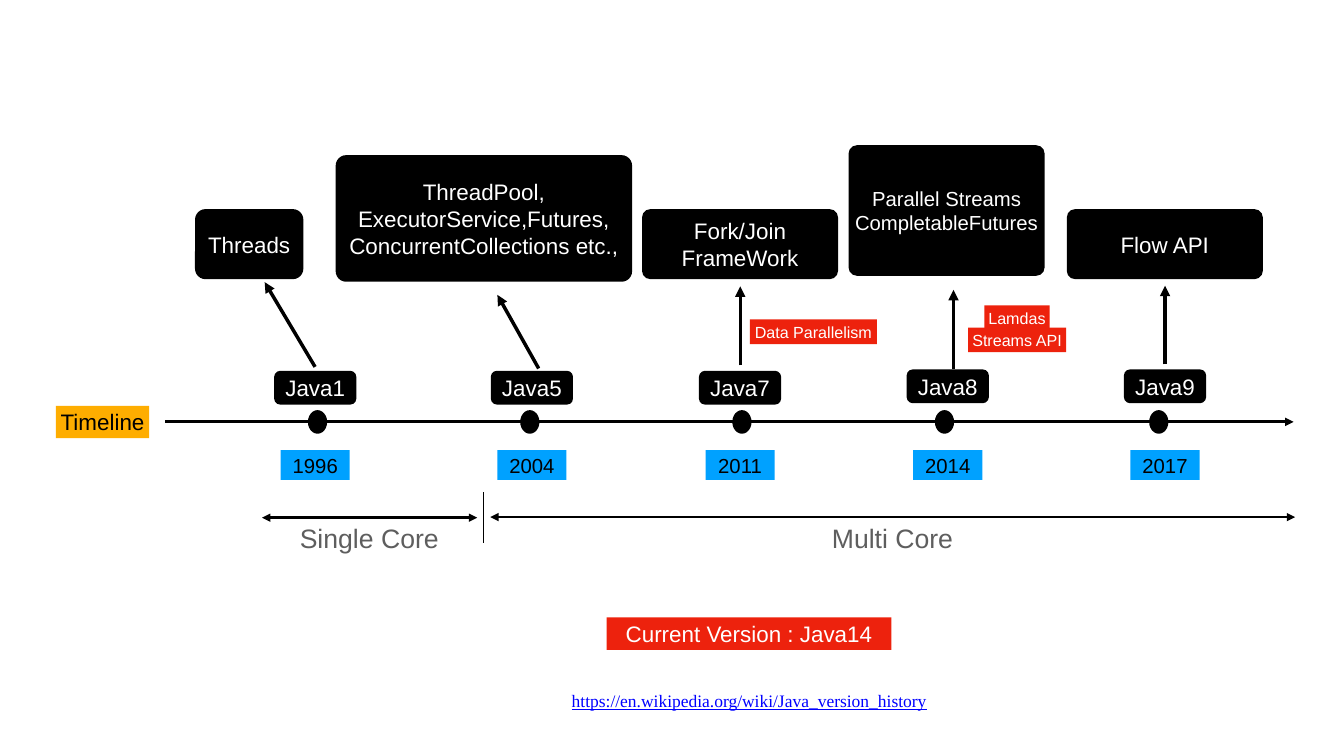
from dataclasses import dataclass

from lxml import etree
from pptx import Presentation
from pptx.dml.color import RGBColor
from pptx.enum import shapes, text
from pptx.oxml.ns import qn
from pptx.util import Cm, Pt


@dataclass(frozen=True)
class Theme:
    black: str = "000000"
    white: str = "FFFFFF"
    grey: str = "5E5E5E"
    amber: str = "FEAD00"
    blue: str = "00A1FF"
    red: str = "ED220D"
    link: str = "0000FF"
    sans: str = "Arial"
    serif: str = "Times New Roman"
    large: int = 38
    body: int = 32
    small: int = 29
    url: int = 25
    note: int = 23


THEME = Theme()
KIND = shapes.MSO_SHAPE
AXIS = 21.26

# Centre of label, centre of dot, top of label, name, year
RELEASES = [
    (15.89, 16.0, 18.69, "Java1", "1996"),
    (26.81, 26.7, 18.69, "Java5", "2004"),
    (37.3, 37.39, 18.69, "Java7", "2011"),
    (47.77, 47.6, 18.62, "Java8", "2014"),
    (58.72, 58.4, 18.62, "Java9", "2017"),
]

# Box, corner radius, text size, lines
FEATURES = [
    ((9.83, 10.54, 5.46, 3.53), 0.53, THEME.body, ["Threads"]),
    ((16.92, 7.82, 14.94, 6.38), 0.53, THEME.body,
     ["ThreadPool,", "ExecutorService,Futures,", "ConcurrentCollections etc.,"]),
    ((32.36, 10.54, 9.88, 3.53), 0.42, THEME.body, ["Fork/Join FrameWork"]),
    ((42.77, 7.32, 9.88, 6.58), 0.42, THEME.small,
     ["Parallel Streams", "CompletableFutures"]),
    ((53.77, 10.54, 9.88, 3.53), 0.42, THEME.body, ["Flow API"]),
]

# From release label up to its feature
ARROWS = [
    ((15.88, 18.49), (13.34, 14.22)),
    ((27.15, 18.57), (25.07, 14.86)),
    ((37.31, 18.42), (37.31, 14.43)),
    ((48.06, 18.59), (48.06, 14.61)),
    ((58.72, 18.36), (58.72, 14.4)),
]

NOTES = [
    ((37.8, 16.1, 6.4, 1.24), "Data Parallelism"),
    ((49.61, 15.39, 3.3, 1.24), "Lamdas"),
    ((48.79, 16.51, 4.95, 1.24), "Streams API"),
]

# Arrow start, arrow end, height, label left, label
ERAS = [
    (13.21, 24.05, 26.09, 14.07, "Single Core"),
    (24.71, 65.28, 26.06, 40.44, "Multi Core"),
]


def write(shape, lines, size, color, font=THEME.sans, wrap=True):
    frame = shape.text_frame
    frame.word_wrap = wrap
    frame.vertical_anchor = text.MSO_ANCHOR.MIDDLE
    frame.margin_left = frame.margin_right = Cm(0.15)
    frame.margin_top = frame.margin_bottom = Cm(0.15)
    frame.text = "\n".join(lines)
    for para in frame.paragraphs:
        para.alignment = text.PP_ALIGN.CENTER
        para.font.name = font
        para.font.size = Pt(size)
        para.font.color.rgb = RGBColor.from_string(color)


def add_block(slide, kind, box, fill):
    shape = slide.shapes.add_shape(kind, *map(Cm, box))
    shape.shadow.inherit = False
    shape.fill.solid()
    shape.fill.fore_color.rgb = RGBColor.from_string(fill)
    shape.line.fill.background()
    return shape


def add_tag(slide, box, label, fill, color, size, wrap=True):
    shape = add_block(slide, KIND.RECTANGLE, box, fill)
    write(shape, [label], size, color, wrap=wrap)


def add_card(slide, box, radius, lines, size):
    shape = add_block(slide, KIND.ROUNDED_RECTANGLE, box, THEME.black)
    shape.adjustments[0] = radius / min(box[2:])
    write(shape, lines, size, THEME.white)


def add_label(slide, box, label, size, color, font=THEME.sans):
    shape = slide.shapes.add_textbox(*map(Cm, box))
    write(shape, [label], size, color, font)
    return shape.text_frame.paragraphs[0]


def add_line(slide, start, end, width, ends=()):
    """Draw a line; ends names the arrowheads, headEnd before tailEnd."""
    line = slide.shapes.add_connector(
        shapes.MSO_CONNECTOR.STRAIGHT, *map(Cm, start + end))
    line.line.color.rgb = RGBColor.from_string(THEME.black)
    line.line.width = Pt(width)
    for tip in ends:
        etree.SubElement(line.line._ln, qn(f"a:{tip}"), type="triangle")
    etree.SubElement(line._element.spPr, qn("a:effectLst"))


def add_release(slide, mid, dot, top, name, year):
    add_block(slide, KIND.OVAL, (dot - 0.48, AXIS - 0.59, 0.97, 1.19), THEME.black)
    add_card(slide, (mid - 2.07, top, 4.14, 1.7), 0.3, [name], THEME.body)
    add_tag(slide, (mid - 1.74, 22.68, 3.48, 1.5), year,
            THEME.blue, THEME.black, THEME.small)


def main():
    deck = Presentation()
    deck.slide_width, deck.slide_height = Cm(67.74), Cm(38.1)
    slide = deck.slides.add_slide(deck.slide_layouts.get_by_name("Blank"))

    add_line(slide, (8.33, AXIS), (65.2, AXIS), 4, ["tailEnd"])
    add_tag(slide, (2.82, 20.45, 4.7, 1.63), "Timeline",
            THEME.amber, THEME.black, THEME.body, wrap=False)
    for release in RELEASES:
        add_release(slide, *release)
    for box, radius, size, lines in FEATURES:
        add_card(slide, box, radius, lines, size)
    for start, end in ARROWS:
        add_line(slide, start, end, 5, ["tailEnd"])
    for box, label in NOTES:
        add_tag(slide, box, label, THEME.red, THEME.white, THEME.note, wrap=False)

    for start, end, top, left, label in ERAS:
        add_line(slide, (start, top), (end, top), 4, ["headEnd", "tailEnd"])
        add_label(slide, (left, 26.21, 9.09, 1.83), label, THEME.large, THEME.grey)
    add_line(slide, (24.38, 27.36), (24.38, 24.79), 2)

    add_tag(slide, (30.58, 31.12, 14.35, 1.63), "Current Version : Java14",
            THEME.red, THEME.white, THEME.body)
    source = add_label(slide, (26.14, 34.37, 23.24, 1.35),
                       "https://en.wikipedia.org/wiki/Java_version_history",
                       THEME.url, THEME.link, THEME.serif)
    source.font.underline = True
    source.line_spacing = Pt(44)

    deck.save("out.pptx")


if __name__ == "__main__":
    main()
